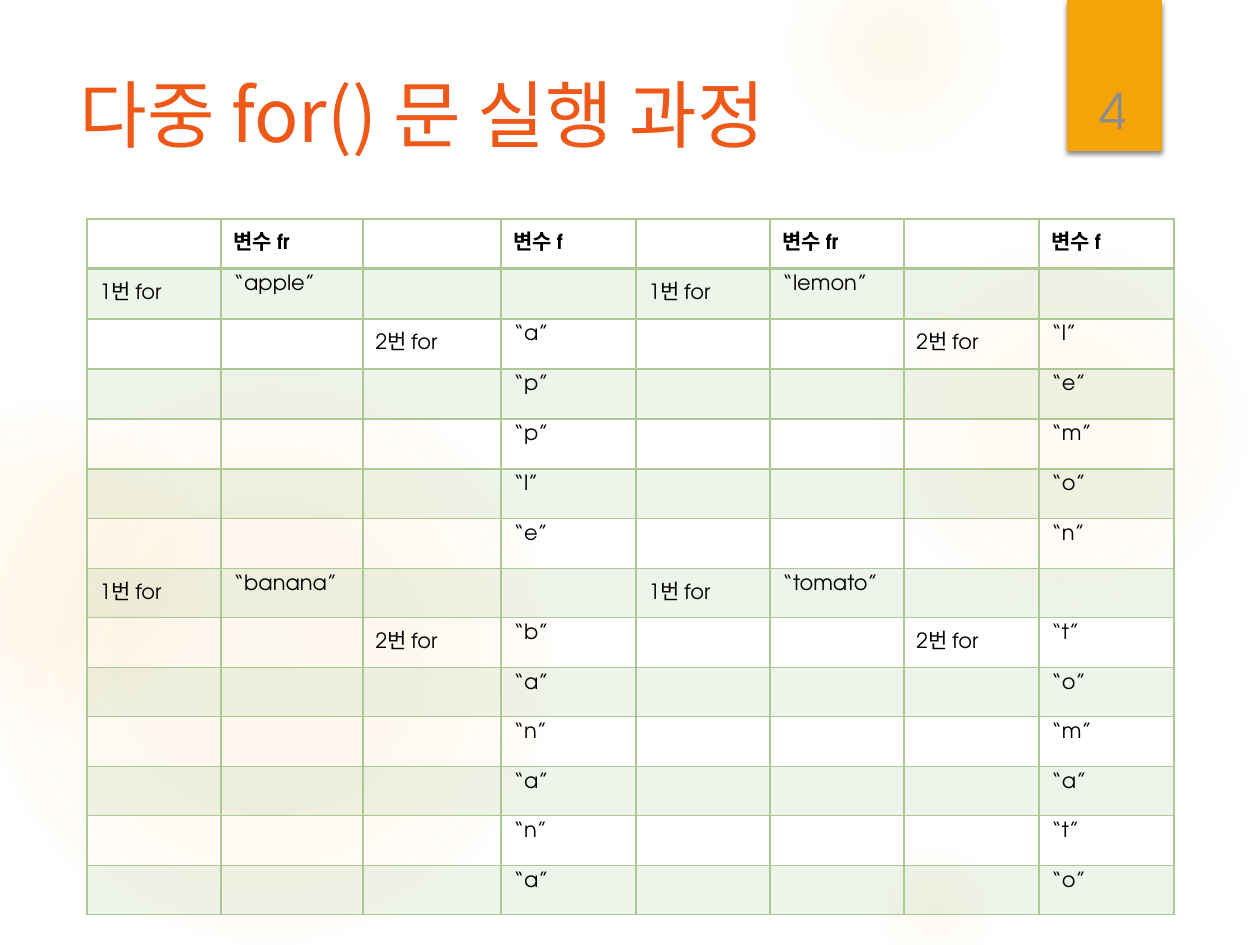
from dataclasses import dataclass
from itertools import chain
from lxml.etree import SubElement
from pptx import Presentation
from pptx.dml.color import RGBColor as RGB
from pptx.enum.shapes import MSO_SHAPE as Shape
from pptx.enum.text import MSO_ANCHOR as Anchor, MSO_AUTO_SIZE as AutoSize, PP_ALIGN as Align
from pptx.oxml.ns import qn
from pptx.util import Emu, Pt


@dataclass(frozen=True)
class Theme:
    latin: str = "TeX Gyre Adventor"
    hangul: str = "Noto Sans CJK KR"
    heading: str = "EE5818"
    body: str = "000000"
    number: str = "8C8C8C"
    tab: str = "F5A408"
    glow: str = "FAC96A"
    grid: str = "ACC995"
    heading_size: int = 42
    body_size: int = 12
    number_size: int = 28


def px(length):
    return Emu(round(length * 914400 / 126))


def node(parent, tag, **attributes):
    return SubElement(parent, qn(tag), {key: str(value) for key, value in attributes.items()})


def percent(value):
    return value * 1000


class Deck:
    def __init__(self, theme):
        self.theme = theme
        self.file = Presentation()
        self.file.slide_width, self.file.slide_height = px(1260), px(945)
        self.slide = self.file.slides.add_slide(self.file.slide_layouts[5])

    def style(self, paragraph, size, color, latin, bold=False):
        font = paragraph.font
        font.size, font.bold, font.name = Pt(size), bold, latin
        font.color.rgb = RGB.from_string(color)
        node(font._rPr, "a:ea", typeface=self.theme.hangul)

    def shape(self, kind, left, top, width, height):
        shape = self.slide.shapes.add_shape(kind, px(left), px(top), px(width), px(height))
        shape.shadow.inherit = False
        shape.line.fill.background()
        return shape

    def glow(self, left, top, size, stops):
        glow = self.shape(Shape.OVAL, left, top, size, size)
        glow.fill.gradient()
        gradient = glow._element.spPr.find(qn("a:gradFill"))
        for child in list(gradient):
            gradient.remove(child)
        stop_list = node(gradient, "a:gsLst")
        for position, opacity in stops:
            stop = node(stop_list, "a:gs", pos=percent(position))
            color = node(stop, "a:srgbClr", val=self.theme.glow)
            node(color, "a:alpha", val=percent(opacity))
        focus = node(gradient, "a:path", path="circle")
        node(focus, "a:fillToRect", **dict.fromkeys("ltrb", percent(50)))

    def page_tab(self, left, top, width, height):
        tab = self.shape(Shape.RECTANGLE, left, top, width, height)
        tab.fill.solid()
        tab.fill.fore_color.rgb = RGB.from_string(self.theme.tab)
        effects = tab._element.spPr.find(qn("a:effectLst"))
        shadow = node(effects, "a:outerShdw", blurRad=Pt(3), dist=Pt(2), dir=5400000, rotWithShape=0)
        color = node(shadow, "a:srgbClr", val="000000")
        node(color, "a:alpha", val=percent(45))

    def title(self, text, left, top, width, height):
        title = self.slide.shapes.title
        title.left, title.top, title.width, title.height = map(px, (left, top, width, height))
        title.element.getparent().append(title.element)
        frame = title.text_frame
        frame.text = text
        frame.auto_size, frame.vertical_anchor = AutoSize.NONE, Anchor.TOP
        heading = frame.paragraphs[0]
        heading.alignment = Align.LEFT
        self.style(heading, self.theme.heading_size, self.theme.heading, self.theme.hangul)

    def page_number(self, text, left, top, width, height):
        frame = self.slide.shapes.add_textbox(px(left), px(top), px(width), px(height)).text_frame
        frame.text, frame.word_wrap, frame.vertical_anchor = text, True, Anchor.BOTTOM
        number = frame.paragraphs[0]
        number.alignment = Align.CENTER
        self.style(number, self.theme.number_size, self.theme.number, self.theme.latin)

    def border(self, cell, side, width):
        line = node(cell._tc.get_or_add_tcPr(), f"a:ln{side}", w=Pt(width))
        node(node(line, "a:solidFill"), "a:srgbClr", val=self.theme.grid)

    def cell(self, cell, text, row):
        cell.text = text
        self.style(cell.text_frame.paragraphs[0], self.theme.body_size, self.theme.body,
                   self.theme.latin, bold=row == 0)
        if not text:
            node(cell.text_frame.paragraphs[0]._p, "a:endParaRPr", sz=self.theme.body_size * 100)
        for side in "LRTB":
            self.border(cell, side, 2 if (row, side) in ((0, "B"), (1, "T")) else 1)
        if row % 2:
            cell.fill.solid()
            cell.fill.fore_color.rgb = RGB.from_string(self.theme.grid)
            color = cell._tc.tcPr.find(qn("a:solidFill")).find(qn("a:srgbClr"))
            node(color, "a:alpha", val=percent(20))
        else:
            cell.fill.background()

    def table(self, rows, left, top, widths, heights):
        table = self.slide.shapes.add_table(
            len(rows), len(widths), px(left), px(top), px(sum(widths)), px(sum(heights))).table
        table.horz_banding = False
        for column, width in zip(table.columns, widths):
            column.width = px(width)
        for index, (row, height, texts) in enumerate(zip(table.rows, heights, rows)):
            row.height = px(height)
            for cell, text in zip(row.cells, texts):
                self.cell(cell, text, index)


def quoted(text):
    return f"“{text}”"


def loop_trace(word):
    yield "1번 for", quoted(word), "", ""
    for turn, letter in enumerate(word):
        yield "", "", "" if turn else "2번 for", quoted(letter)


def main():
    deck = Deck(Theme())
    for glow in (
        (868, 231, 388, ((0, 7), (36, 6), (69, 0))),
        (784, -63, 221, ((0, 14), (36, 7), (73, 0))),
        (868, 840, 136, ((0, 10), (31, 5), (66, 0))),
        (-21, 368, 577, ((0, 11), (36, 10), (75, 0))),
        (-116, 399, 325, ((0, 8), (36, 8), (72, 0))),
    ):
        deck.glow(*glow)
    deck.page_tab(1067, 0, 95, 151)
    deck.title("다중 for() 문 실행 과정", 67, 63, 973, 193)

    header = ("", "변수 fr", "", "변수 f")
    left_half = chain([header], loop_trace("apple"), loop_trace("banana"))
    right_half = chain([header], loop_trace("lemon"), loop_trace("tomato"))
    rows = [left + right for left, right in zip(left_half, right_half)]
    widths = (134, 142, 138, 135, 134, 134, 135, 135)
    heights = (50,) * 7 + (49, 50) * 3 + (49,)
    deck.table(rows, 87, 219, widths, heights)
    deck.page_number("4", 1070, 40, 87, 106)
    deck.file.save("out.pptx")


if __name__ == "__main__":
    main()
